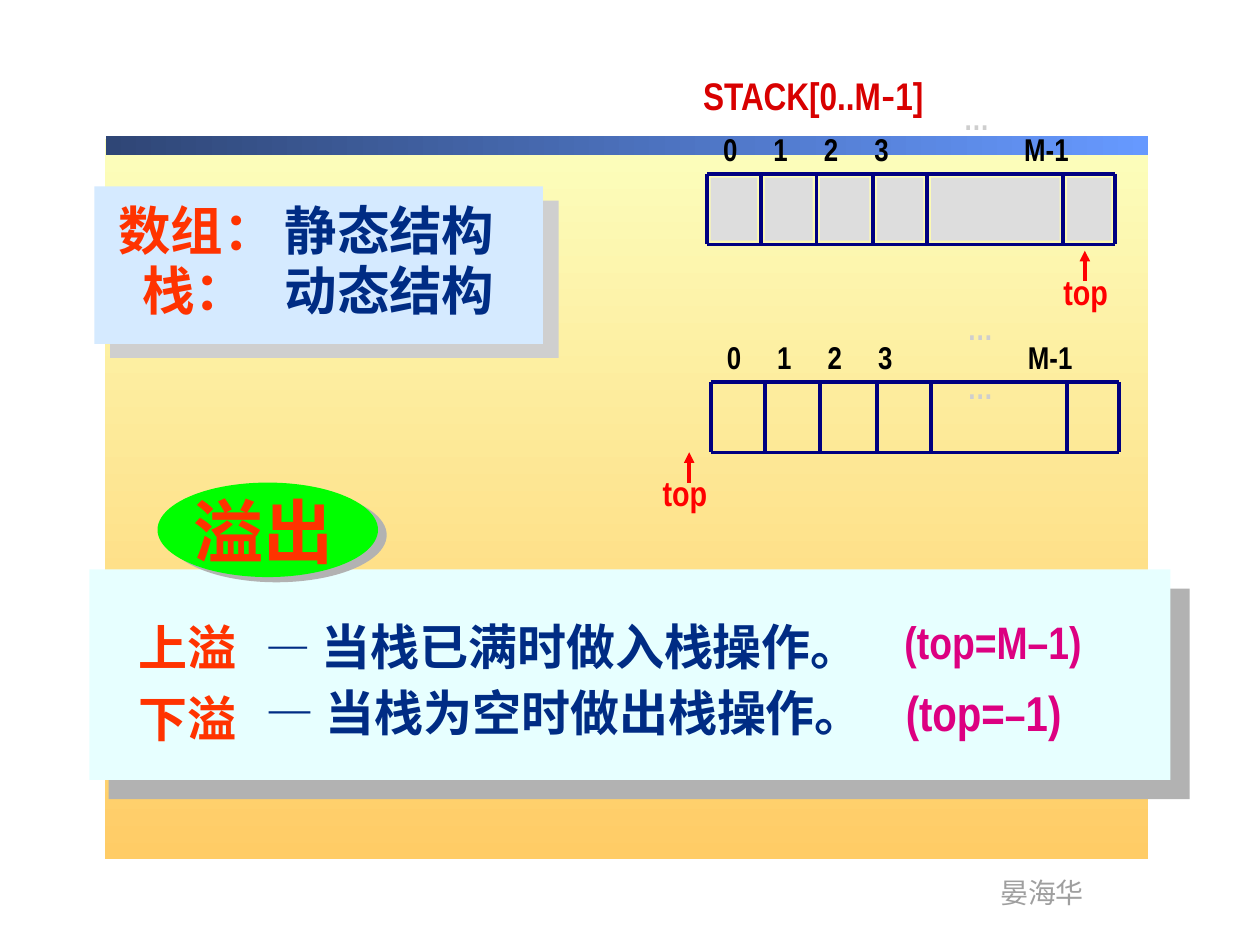
"""Build the slide on array and stack structures, with overflow and underflow."""
from dataclasses import dataclass
from typing import Optional

from lxml import etree
from pptx import Presentation
from pptx import util as u
from pptx.dml.color import RGBColor
from pptx.enum import shapes, text
from pptx.oxml import ns

CREAM, ORANGE = RGBColor(0xFC, 0xFE, 0xBC), RGBColor(0xFF, 0xCC, 0x66)
DARK_BLUE, BLUE = RGBColor(0x2F, 0x46, 0x76), RGBColor(0x66, 0x99, 0xFF)
NAVY, INK = RGBColor(0x00, 0x00, 0x80), RGBColor(0x00, 0x2C, 0x84)
RED, VERMILION = RGBColor(0xFF, 0x00, 0x00), RGBColor(0xFF, 0x33, 0x00)
CRIMSON, MAGENTA = RGBColor(0xD8, 0x00, 0x00), RGBColor(0xDC, 0x00, 0x81)
PALE_CYAN, PALE_BLUE = RGBColor(0xE7, 0xFF, 0xFF), RGBColor(0xD5, 0xEA, 0xFF)
GREEN, BLACK = RGBColor(0x00, 0xFF, 0x00), RGBColor(0x00, 0x00, 0x00)
CELL_GRAY, DOT_GRAY = RGBColor(0xDD, 0xDD, 0xDD), RGBColor(0xCE, 0xCE, 0xCE)
NAME_GRAY = RGBColor(0x9F, 0x9F, 0x9F)
NARROW, CJK = "Arial Narrow", "Noto Sans CJK SC"
DIVIDERS = (0, 0.43, 0.87, 1.32, 1.75, 2.83, 3.24)
STACK_HEIGHT = 0.56
INDEX_TABS = (0.4, 0.8, 1.2, 2.39)


@dataclass
class Span:
    text: str
    size: float
    color: RGBColor
    font: str = NARROW
    bold: bool = True
    shadow: bool = False


@dataclass
class Line:
    spans: list[Span]
    spacing: float = 1.0
    indent: float = 0
    tabs: tuple[float, ...] = ()


@dataclass
class Shadow:
    color: str
    distance: float
    angle: float


@dataclass
class Stack:
    left: float
    top: float
    filled: bool
    dots: tuple[tuple[float, float], ...]
    arrow: tuple[float, float]
    label: tuple[float, float]


STACKS = (
    Stack(5.61, 1.38, True, ((7.55, 0.74),), (8.61, 1.99), (8.34, 2.1)),
    Stack(5.64, 3.03, False, ((7.58, 2.4), (7.58, 2.87)), (5.47, 3.59), (5.16, 3.69)),
)


def add_shadow(properties, shadow: Shadow) -> None:
    effects = etree.SubElement(properties, ns.qn("a:effectLst"))
    outer = etree.SubElement(
        effects, ns.qn("a:outerShdw"), blurRad="0", dist=str(u.Pt(shadow.distance)),
        dir=str(round(shadow.angle * 60000)), algn="tl", rotWithShape="0")
    etree.SubElement(outer, ns.qn("a:srgbClr"), val=shadow.color)


def write_lines(shape, lines: list[Line]) -> None:
    frame = shape.text_frame
    frame.word_wrap = True
    frame.auto_size = text.MSO_AUTO_SIZE.NONE
    frame.vertical_anchor = text.MSO_ANCHOR.TOP
    for number, line in enumerate(lines):
        paragraph = frame.add_paragraph() if number else frame.paragraphs[0]
        paragraph.alignment = text.PP_ALIGN.LEFT
        paragraph.line_spacing = line.spacing
        properties = paragraph._p.get_or_add_pPr()
        if line.indent:
            properties.set("marL", str(u.Inches(line.indent)))
        if line.tabs:
            tab_list = etree.SubElement(properties, ns.qn("a:tabLst"))
            for position in line.tabs:
                etree.SubElement(tab_list, ns.qn("a:tab"), pos=str(u.Inches(position)), algn="l")
        for span in line.spans:
            run = paragraph.add_run()
            run.text = span.text
            font = run.font
            font.size, font.bold = u.Pt(span.size), span.bold
            font.color.rgb = span.color
            if span.shadow:
                add_shadow(font._element, Shadow("000000", 2, 45))
            font.name = span.font
            if span.font == CJK:
                etree.SubElement(font._element, ns.qn("a:ea"), typeface=CJK)


def add_text(slide, left: float, top: float, width: float, height: float, *lines: Line) -> None:
    box = slide.shapes.add_textbox(*map(u.Inches, (left, top, width, height)))
    write_lines(box, list(lines))


def add_panel(slide, left: float, top: float, width: float, height: float, color: RGBColor,
              shadow: Optional[Shadow] = None, kind=shapes.MSO_SHAPE.RECTANGLE):
    panel = slide.shapes.add_shape(kind, *map(u.Inches, (left, top, width, height)))
    panel.fill.solid()
    panel.fill.fore_color.rgb = color
    panel.line.fill.background()
    if shadow:
        add_shadow(panel._element.spPr, shadow)
    else:
        panel.shadow.inherit = False
    return panel


def add_gradient(slide, left: float, top: float, width: float, height: float,
                 start: RGBColor, end: RGBColor, angle: float) -> None:
    fill = add_panel(slide, left, top, width, height, start).fill
    fill.gradient()
    fill.gradient_angle = angle
    for stop, color in zip(fill.gradient_stops, (start, end)):
        stop.color.rgb = color


def add_line(slide, start: tuple[float, float], end: tuple[float, float],
             color: RGBColor, width: float, arrow: bool = False) -> None:
    connector = slide.shapes.add_connector(
        shapes.MSO_CONNECTOR.STRAIGHT, *map(u.Inches, (*start, *end)))
    connector.line.color.rgb = color
    connector.line.width = u.Pt(width)
    if arrow:
        etree.SubElement(connector.line._get_or_add_ln(), ns.qn("a:tailEnd"), type="triangle")
    etree.SubElement(connector._element.spPr, ns.qn("a:effectLst"))


def add_stack(slide, stack: Stack) -> None:
    left, top, bottom = stack.left, stack.top, stack.top + STACK_HEIGHT
    for y in (top, bottom):
        add_line(slide, (left, y), (left + DIVIDERS[-1], y), NAVY, 2)
    for offset in DIVIDERS:
        add_line(slide, (left + offset, top), (left + offset, bottom), NAVY, 2.25)
    add_text(slide, left + 0.03, top - 0.4, 2.99, 0.4,
             Line([Span("0\t1\t2\t3\tM-1", 18, BLACK)], tabs=INDEX_TABS))
    for x, y in stack.dots:
        add_text(slide, x, y, 0.65, 0.63, Line([Span("…", 18, DOT_GRAY)]))
    if stack.filled:
        for start, end in zip(DIVIDERS, DIVIDERS[1:]):
            add_panel(slide, left + start + 0.03, top + 0.03, end - start - 0.06, 0.5, CELL_GRAY)
    x, y = stack.arrow
    add_line(slide, (x, y + 0.24), (x, y), RED, 2, arrow=True)
    add_text(slide, *stack.label, 1.02, 0.43, Line([Span("top", 20, RED)]))


def main() -> None:
    presentation = Presentation()
    presentation.slide_width, presentation.slide_height = u.Inches(10), u.Inches(7.5)
    slide = presentation.slides.add_slide(presentation.slide_layouts[5])

    title = slide.shapes.title
    title.left, title.top, title.width, title.height = map(u.Inches, (5.48, 0.52, 3.44, 0.47))
    write_lines(title, [Line([Span("STACK[0..M", 22, CRIMSON), Span("-", 22, CRIMSON, CJK),
                              Span("1]", 22, CRIMSON)])])

    add_gradient(slide, 0.83, 1.1, 8.28, 5.72, CREAM, ORANGE, 270)
    add_gradient(slide, 0.84, 1.08, 8.27, 0.15, DARK_BLUE, BLUE, 0)
    add_text(slide, 7.84, 6.9, 0.9, 0.37, Line([Span("晏海华", 16, NAME_GRAY, bold=False)]))

    add_panel(slide, 0.71, 4.52, 8.58, 1.67, PALE_CYAN, Shadow("B2B2B2", 15.6, 45))
    add_text(slide, 1, 4.76, 1.58, 1.22,
             *(Line([Span(term, 28, VERMILION, CJK, shadow=True)], 1.2)
               for term in ("上溢", "下溢")))
    add_text(slide, 2.01, 4.9, 5.49, 0.52,
             Line([Span("— ", 26, INK), Span("当栈已满时做入栈操作。", 28, INK, CJK)], 0.9))
    add_text(slide, 2.01, 5.42, 5.74, 0.52,
             Line([Span("— 当栈为空时做出栈操作。", 28, INK)], 0.9))

    add_panel(slide, 1.25, 3.83, 1.75, 0.75, GREEN, Shadow("B2B2B2", 5.8, 31),
              shapes.MSO_SHAPE.OVAL)
    add_text(slide, 1.44, 3.83, 1.44, 0.77, Line([Span("溢出", 40, VERMILION, shadow=True)]))

    add_panel(slide, 0.75, 1.48, 3.56, 1.25, PALE_BLUE, Shadow("CFCFCF", 12, 42))
    add_text(slide, 0.75, 1.56, 3.67, 1.05,
             *(Line([Span(term, 30, VERMILION, CJK, shadow=True)], 0.95, indent)
               for term, indent in (("数组：", 0.09), ("栈：", 0.28))))
    add_text(slide, 2.16, 1.56, 2.42, 1.05,
             *(Line([Span(kind, 30, INK, CJK)], 0.95) for kind in ("静态结构", "动态结构")))

    add_text(slide, 7.08, 4.87, 2.08, 0.49, Line([Span("(top=M–1)", 26, MAGENTA)], 0.9))
    add_text(slide, 7.09, 5.42, 1.99, 0.52,
             Line([Span("(top=", 28, MAGENTA), Span("–", 26, MAGENTA), Span("1)", 28, MAGENTA)], 0.9))

    for stack in STACKS:
        add_stack(slide, stack)
    presentation.save("out.pptx")


if __name__ == "__main__":
    main()
